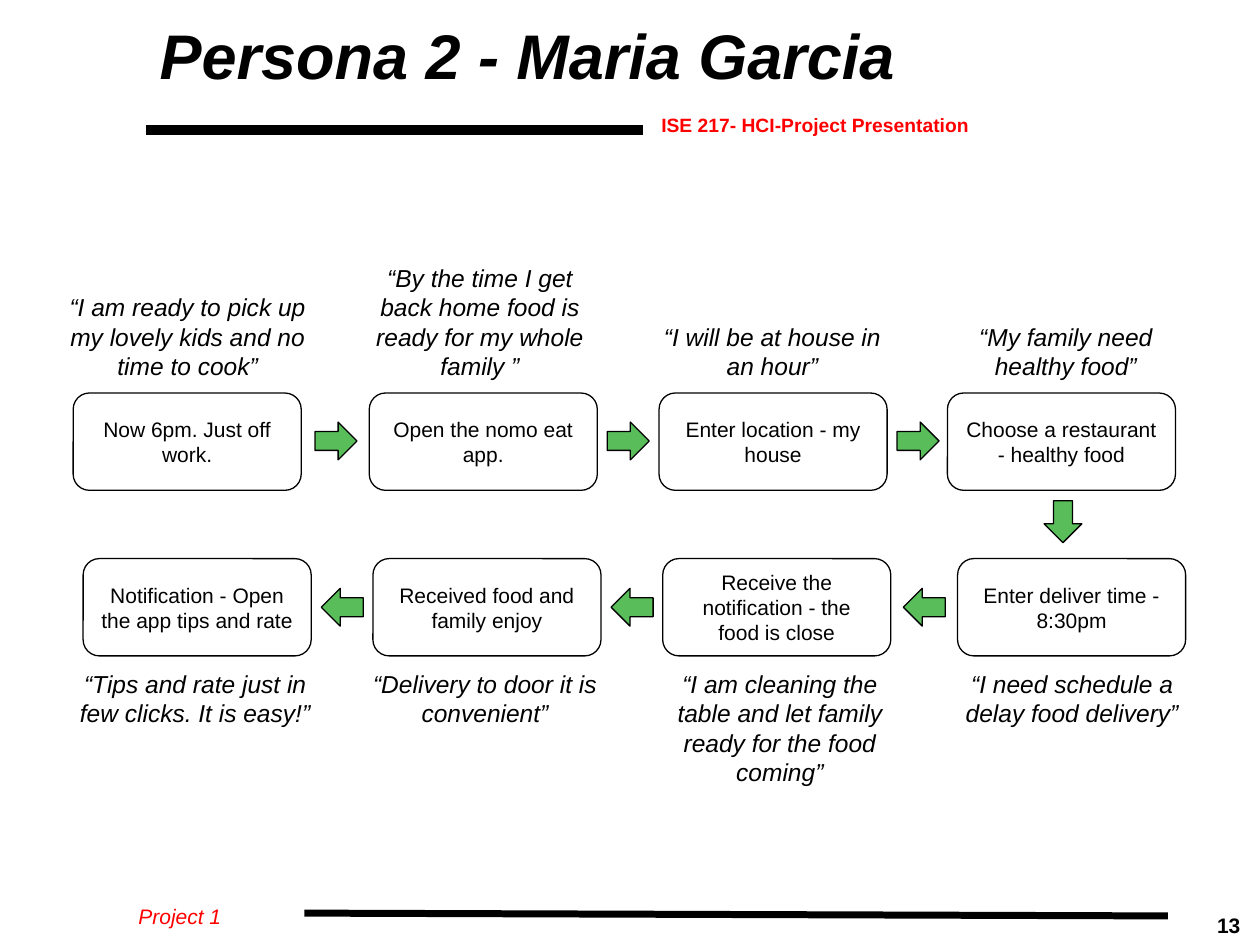
from lxml.etree import SubElement
from pptx import Presentation
from pptx.dml.color import RGBColor
from pptx.enum.shapes import MSO_CONNECTOR, MSO_SHAPE
from pptx.enum.text import MSO_ANCHOR, PP_ALIGN
from pptx.oxml.ns import qn
from pptx.util import Pt

BLACK = RGBColor(0x00, 0x00, 0x00)
RED = RGBColor(0xFF, 0x00, 0x00)
GREEN = RGBColor(0x59, 0xBD, 0x5A)

STEP_WIDTH, STEP_HEIGHT = 130.3, 55.6
QUOTE_WIDTH, QUOTE_HEIGHT = 151.2, 96.5
ARROW_WIDTH, ARROW_HEIGHT = 24, 21.6

# Each row: step top, quote top, quote anchor, (step left, step, quote left, quote)
ROWS = [
    (224.6, 128.2, MSO_ANCHOR.BOTTOM, [
        (41.8, "Now 6pm. Just off work.",
         31.7, "“I am ready to pick up my lovely kids and no time to cook”"),
        (211, "Open the nomo eat app.",
         198.7, "“By the time I get back home food is ready for my whole family ”"),
        (376.6, "Enter location - my house",
         365.8, "“I will be at house in an hour”"),
        (541.4, "Choose a restaurant - healthy food",
         533.5, "“My family need healthy food”"),
    ]),
    (319.2, 375.1, MSO_ANCHOR.TOP, [
        (547.2, "Enter deliver time - 8:30pm",
         537.1, "“I need schedule a delay food delivery”"),
        (378.7, "Receive the notification - the food is close",
         370.1, "“I am cleaning the table and let family ready for the food coming”"),
        (213.1, "Received food and family enjoy",
         201.6, "“Delivery to door it is convenient”"),
        (47.5, "Notification - Open the app tips and rate",
         36, "“Tips and rate just in few clicks. It is easy!”"),
    ]),
]

# Left, top and rotation of each arrow, in reading order of the flow
ARROWS = [
    (180, 241.2, 0), (347, 241.2, 0), (512.6, 241.2, 0),
    (595.4, 287.3, 90),
    (516.2, 336.2, 180), (349.2, 336.2, 180), (183.6, 336.2, 180),
]

RULES = [
    (83.5, 74.2, 367.2, 74.2, 6),
    (174, 521.8, 667.4, 523.4, 4),
]

# Text, left, top, width, height, side margin, size, colour, bold, italic
LABELS = [
    ("13", 695.5, 517.7, 21.6, 21.6, 0, 12, BLACK, True, False),
    ("ISE 217- HCI-Project Presentation",
     370.8, 61.2, 347.8, 20.2, 7.2, 11, RED, True, False),
    ("Project 1", 72, 512.6, 65.5, 21.6, 7.2, 12, RED, False, True),
]


def write(shape, text, size, color=BLACK, bold=False, italic=False,
          align=PP_ALIGN.LEFT, anchor=MSO_ANCHOR.TOP, side=7.2, edge=7.2):
    """Fill a shape with one styled run; side and edge are its margins."""
    frame = shape.text_frame
    frame.word_wrap = True
    frame.vertical_anchor = anchor
    frame.margin_left = frame.margin_right = Pt(side)
    frame.margin_top = frame.margin_bottom = Pt(edge)
    paragraph = frame.paragraphs[0]
    paragraph.alignment = align
    run = paragraph.add_run()
    run.text = text
    run.font.name = "Arial"
    run.font.size = Pt(size)
    run.font.bold = bold
    run.font.italic = italic
    run.font.color.rgb = color
    return paragraph


def add_outlined(kind, left, top, width, height):
    shape = slide.shapes.add_shape(kind, Pt(left), Pt(top), Pt(width), Pt(height))
    shape.shadow.inherit = False
    shape.line.color.rgb = BLACK
    shape.line.width = Pt(0.75)
    return shape


presentation = Presentation()
presentation.slide_width = Pt(720)
presentation.slide_height = Pt(540)
slide = presentation.slides.add_slide(presentation.slide_layouts[6])

for x1, y1, x2, y2, weight in RULES:
    rule = slide.shapes.add_connector(
        MSO_CONNECTOR.STRAIGHT, Pt(x1), Pt(y1), Pt(x2), Pt(y2))
    rule.line.color.rgb = BLACK
    rule.line.width = Pt(weight)
    SubElement(rule._element.spPr, qn("a:effectLst"))

for text, left, top, width, height, side, size, color, bold, italic in LABELS:
    label = slide.shapes.add_textbox(Pt(left), Pt(top), Pt(width), Pt(height))
    write(label, text, size, color, bold, italic, side=side, edge=3.6)

title = slide.shapes.add_textbox(Pt(84.2), Pt(5.8), Pt(588.2), Pt(56.2))
heading = write(title, "Persona 2 - Maria Garcia", 36, bold=True, italic=True,
                anchor=MSO_ANCHOR.MIDDLE, edge=3.6)
heading.line_spacing = 0.9

for step_top, quote_top, quote_anchor, steps in ROWS:
    for step_left, action, quote_left, thought in steps:
        step = add_outlined(MSO_SHAPE.ROUNDED_RECTANGLE,
                            step_left, step_top, STEP_WIDTH, STEP_HEIGHT)
        step.fill.background()
        write(step, action, 12, align=PP_ALIGN.CENTER, anchor=MSO_ANCHOR.MIDDLE)

        quote = slide.shapes.add_textbox(
            Pt(quote_left), Pt(quote_top), Pt(QUOTE_WIDTH), Pt(QUOTE_HEIGHT))
        write(quote, thought, 14, italic=True,
              align=PP_ALIGN.CENTER, anchor=quote_anchor)

for left, top, rotation in ARROWS:
    arrow = add_outlined(MSO_SHAPE.RIGHT_ARROW, left, top, ARROW_WIDTH, ARROW_HEIGHT)
    arrow.rotation = rotation
    arrow.fill.solid()
    arrow.fill.fore_color.rgb = GREEN

presentation.save("out.pptx")
